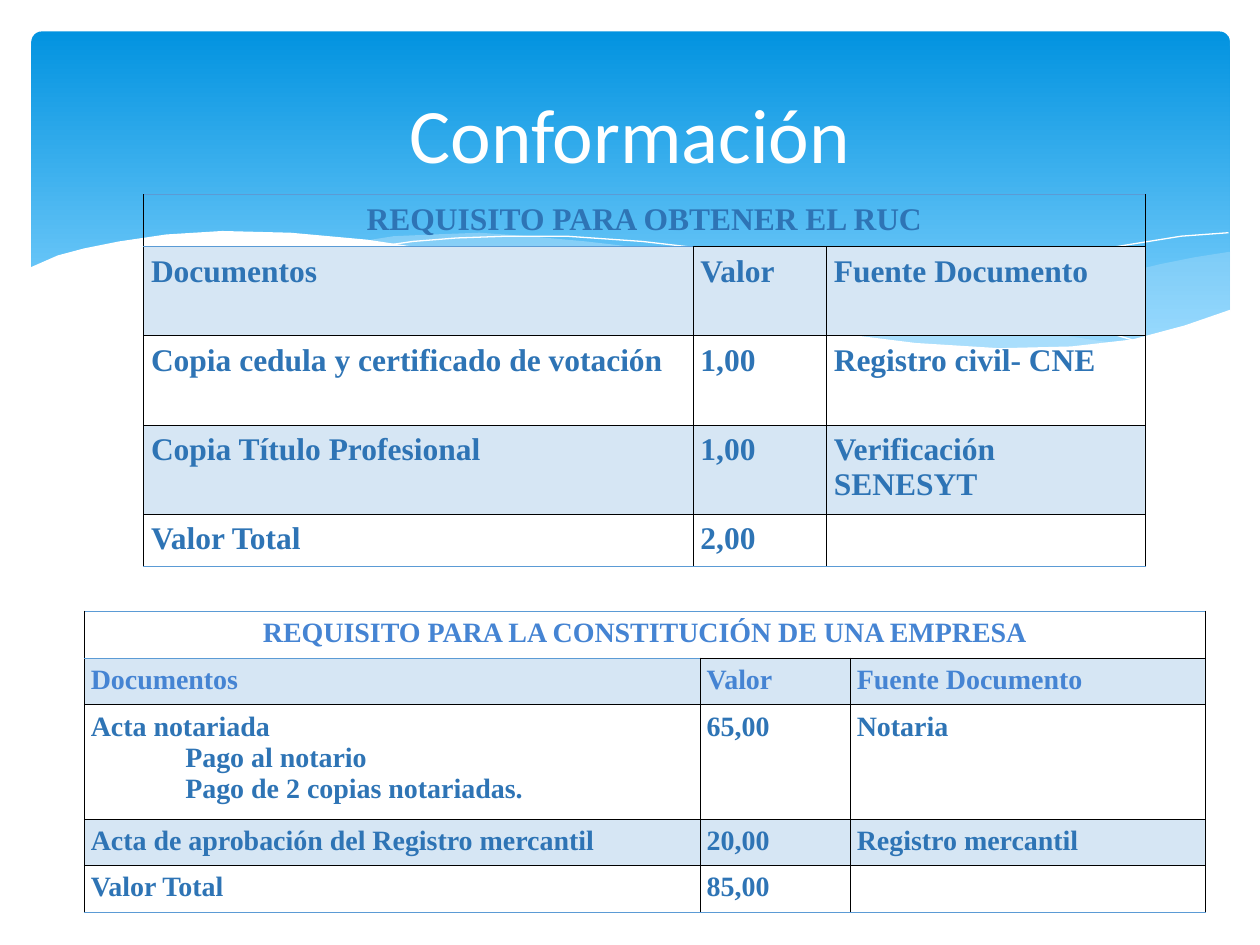
from lxml.etree import SubElement
from pptx import Presentation
from pptx.dml.color import RGBColor
from pptx.enum.shapes import MSO_SHAPE
from pptx.enum.text import MSO_ANCHOR, PP_ALIGN
from pptx.oxml.ns import qn
from pptx.util import Pt

WHITE = RGBColor(0xFF, 0xFF, 0xFF)
BLACK = RGBColor(0x00, 0x00, 0x00)
SKY_TOP = RGBColor(0x02, 0x93, 0xE0)
SKY_BOTTOM = RGBColor(0x83, 0xD3, 0xFE)
RIBBON = RGBColor(0xC6, 0xE7, 0xFC)
BAND = RGBColor(0xD6, 0xE6, 0xF4)
RULE = RGBColor(0x5B, 0x9B, 0xD5)
NAVY = RGBColor(0x2E, 0x74, 0xB5)
BLUE = RGBColor(0x45, 0x84, 0xD3)

RIGHT_RIBBON = [
    (702, 144), (682.6, 146.9), (662.7, 151.2), (641.5, 155.5), (619.9, 160.6),
    (579.6, 170.6), (542.2, 178.6), (508.3, 185), (475.9, 190.8), (507.6, 195.1),
    (536.4, 198), (570.2, 199.4), (601.2, 199.4), (634.3, 197.3), (663.1, 190.8),
    (683.3, 185), (702.7, 177.8), (702.7, 144)]
LEFT_RIBBON = [
    (643, 196.6), (602.6, 190.8), (558, 182.9), (508.3, 172.8), (452.9, 159.8),
    (420.5, 151.9), (389.5, 146.2), (361.4, 141.1), (334.8, 137.5), (302.4, 134.6),
    (273.6, 133.2), (247.7, 133.9), (225.4, 135.4), (205.9, 137.5), (246.2, 143.3),
    (290.9, 151.9), (323.3, 159.8), (381.6, 172.8), (432.7, 183.6), (478.8, 191.5),
    (519.8, 197.3), (556.6, 199.4), (589, 200.2), (617, 199.4)]
FALLING_LINE = [
    (222.5, 140.4), (236.2, 138.2), (261.4, 136.1), (288.7, 134.6), (324, 135.4),
    (367.2, 138.2), (419, 144), (478.8, 153.4), (523.4, 162.7), (572.4, 173.5),
    (625.7, 187.9), (653, 195.8)]
RISING_LINE = [
    (441.4, 185), (483.8, 173.5), (538.6, 160.6), (601.9, 146.9), (644.4, 139.7),
    (675.4, 135.4), (702, 133.2)]
WHITE_WAVE = [
    (703.4, 177.1), (676.8, 186.5), (647.3, 193.7), (612, 198), (571, 198.7),
    (522.7, 195.8), (466.6, 188.6), (399.6, 176.4), (342, 163.4), (301, 153.4),
    (262.8, 145.4), (210.2, 136.8), (165.6, 133.2), (127.4, 132.5), (95, 133.9),
    (68.4, 137.5), (48.2, 141.8), (33.1, 146.2), (16.6, 153.4), (16.6, 236.9),
    (703.4, 236.9)]

RUC_ROWS = [
    ["REQUISITO PARA OBTENER EL RUC"],
    ["Documentos", "Valor", "Fuente Documento"],
    ["Copia cedula y certificado de votación", "1,00", "Registro civil- CNE"],
    ["Copia Título Profesional", "1,00", "Verificación SENESYT"],
    ["Valor Total", "2,00", ""]]
COMPANY_ROWS = [
    ["REQUISITO PARA LA CONSTITUCIÓN DE UNA EMPRESA"],
    ["Documentos", "Valor", "Fuente Documento"],
    ["Acta notariada\nPago al notario\nPago de 2 copias notariadas.", "65,00", "Notaria"],
    ["Acta de aprobación del Registro mercantil", "20,00", "Registro mercantil"],
    ["Valor Total", "85,00", ""]]


def write_text(frame, text, *, font, size, color, bold=False, align=PP_ALIGN.LEFT):
    """Write one paragraph per line and hang-indent every line after the first."""
    for index, line in enumerate(text.split("\n")):
        para = frame.add_paragraph() if index else frame.paragraphs[0]
        para.alignment = align
        if index:
            properties = para._p.get_or_add_pPr()
            properties.set("marL", str(Pt(72)))
            properties.set("indent", str(Pt(-18)))
        span = para.add_run()
        span.text = line
        span.font.name = font
        span.font.size = Pt(size)
        span.font.bold = bold
        span.font.color.rgb = color


def add_wave(page, box, points, *, fill=None, opacity=100):
    """Draw a filled wave, or a white hairline when no fill is given."""
    left, top = box[:2]
    placed = [(left + x, top + y) for x, y in points]
    builder = page.shapes.build_freeform(*placed[0], scale=Pt(1))
    builder.add_line_segments(placed[1:], close=fill is not None)
    wave = builder.convert_to_shape()
    wave.shadow.inherit = False
    if fill is None:
        wave.fill.background()
        wave.line.color.rgb = WHITE
        wave.line.width = Pt(0)
        return
    wave.line.fill.background()
    wave.fill.solid()
    wave.fill.fore_color.rgb = fill
    color = wave._element.spPr.find(qn("a:solidFill"))[0]
    SubElement(color, qn("a:alpha"), val=str(opacity * 1000))


def add_banner(page, box):
    """Draw the gradient panel and the waves along its lower edge."""
    left, top, width, height = box
    panel = page.shapes.add_shape(
        MSO_SHAPE.ROUNDED_RECTANGLE, Pt(left + 18), Pt(top + 18),
        Pt(width - 35.3), Pt(height - 42.6))
    panel.adjustments[0] = 0.03
    panel.shadow.inherit = False
    panel.line.fill.background()
    panel.fill.gradient()
    panel.fill.gradient_angle = 270
    stops = zip(panel.fill.gradient_stops, (0, 0.9), (SKY_TOP, SKY_BOTTOM))
    for stop, position, color in stops:
        stop.position = position
        stop.color.rgb = color
    add_wave(page, box, RIGHT_RIBBON, fill=RIBBON, opacity=29)
    add_wave(page, box, LEFT_RIBBON, fill=RIBBON, opacity=40)
    add_wave(page, box, FALLING_LINE)
    add_wave(page, box, RISING_LINE)
    add_wave(page, box, WHITE_WAVE, fill=WHITE)


def add_title(page, box, text):
    """Place the centred slide title."""
    frame = page.shapes.add_textbox(*map(Pt, box)).text_frame
    frame.word_wrap = True
    frame.vertical_anchor = MSO_ANCHOR.MIDDLE
    write_text(frame, text, font="Calibri", size=44, color=WHITE, align=PP_ALIGN.CENTER)


def set_borders(cell, top, bottom):
    """Draw black cell sides with the given top and bottom colours."""
    properties = cell._tc.get_or_add_tcPr()
    sides = {"a:lnL": BLACK, "a:lnR": BLACK, "a:lnT": top, "a:lnB": bottom}
    for tag, color in sides.items():
        line = SubElement(properties, qn(tag), w=str(Pt(0.6)))
        fill = SubElement(line, qn("a:solidFill"))
        SubElement(fill, qn("a:srgbClr"), val=str(color))


def add_requirements(page, box, rows, widths, heights, *, size, inset, head_color):
    """Place a table with a merged heading and alternating bands."""
    table = page.shapes.add_table(len(rows), len(widths), *map(Pt, box)).table
    table.first_row = table.horz_banding = False
    for column, width in zip(table.columns, widths):
        column.width = Pt(width)
    for row, height in zip(table.rows, heights):
        row.height = Pt(height)
    table.cell(0, 0).merge(table.cell(0, len(widths) - 1))
    last = len(rows) - 1
    for r, texts in enumerate(rows):
        for c, text in enumerate(texts):
            cell = table.cell(r, c)
            set_borders(cell, RULE if r == 0 or (r == 1 and c == 0) else BLACK,
                        RULE if r in (0, last) else BLACK)
            if r % 2:
                cell.fill.solid()
                cell.fill.fore_color.rgb = BAND
            else:
                cell.fill.background()
            margin = Pt(inset if text else 0)
            cell.margin_left = cell.margin_right = margin
            cell.margin_top = cell.margin_bottom = margin
            if text:
                write_text(cell.text_frame, text, font="Times New Roman", size=size,
                           color=head_color if r < 2 else NAVY, bold=True,
                           align=PP_ALIGN.LEFT if r else PP_ALIGN.CENTER)


def main():
    """Build the slide and save it."""
    deck = Presentation()
    deck.slide_width, deck.slide_height = Pt(720), Pt(540)
    page = deck.slides.add_slide(deck.slide_layouts[6])
    add_banner(page, (0, 0, 720, 237))
    add_requirements(page, (82, 111.3, 572.4, 212.4), RUC_ROWS, (314, 76.2, 182.2),
                     (29.6, 51, 51, 51, 29.8), size=18, inset=4.3, head_color=NAVY)
    add_title(page, (36, 26.6, 648, 98.6), "Conformación")
    add_requirements(page, (48.2, 349.2, 640.8, 172), COMPANY_ROWS, (352, 85.8, 203),
                     (26.8, 26.8, 65.2, 26.6, 26.6), size=16, inset=3.7, head_color=BLUE)
    deck.save("out.pptx")


if __name__ == "__main__":
    main()
